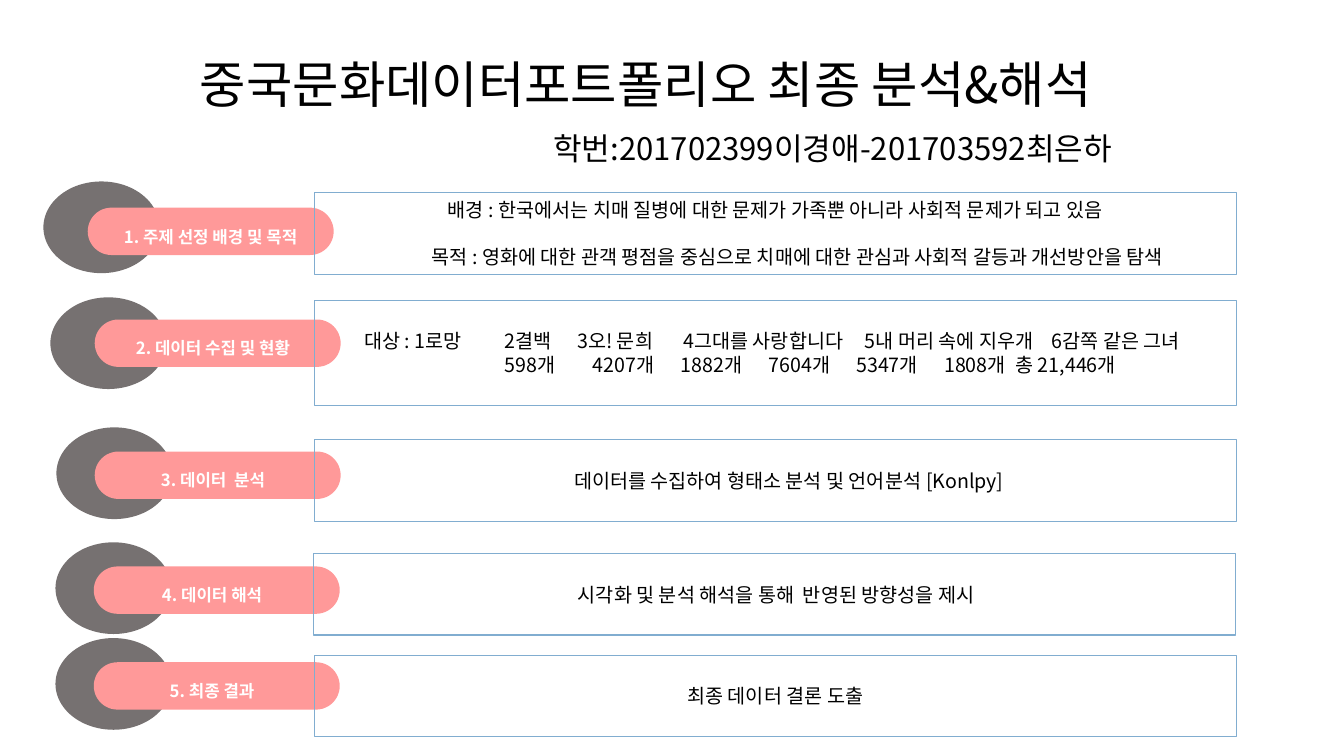
from dataclasses import dataclass

from lxml.etree import SubElement
from pptx import Presentation
from pptx.dml.color import RGBColor
from pptx.enum.shapes import MSO_SHAPE
from pptx.enum.text import MSO_ANCHOR, PP_ALIGN
from pptx.oxml.ns import qn
from pptx.util import Inches, Pt

FONT = "Noto Sans CJK KR"
BLACK = RGBColor(0x00, 0x00, 0x00)
WHITE = RGBColor(0xFF, 0xFF, 0xFF)
GREY = RGBColor(0x76, 0x71, 0x71)
PINK = RGBColor(0xFF, 0x99, 0x99)
BLUE = RGBColor(0x81, 0xAD, 0xD0)

prs = Presentation()
prs.slide_width, prs.slide_height = Inches(13.33), Inches(7.5)
s = prs.slides.add_slide(prs.slide_layouts[6])

# Grid of 100 columns by 100 rows
COL, ROW = prs.slide_width / 100, prs.slide_height / 100
DISC_W, DISC_H = 8.63, 12.13
PILL_W, PILL_H = 18.3, 6.27
BOX_W = 68.57


@dataclass
class Line:
    text: str
    indent: float = 0  # columns
    before: float = 0  # points
    tabs: tuple[float, ...] = ()  # columns from the inner edge of the box


@dataclass
class Step:
    label: str
    disc: tuple[float, float]
    pill: tuple[float, float]
    box: tuple[float, float]
    lines: list[Line]
    box_h: float = 10.8
    label_shift: float = 0.68  # extra right inset, columns


def place(x: float, y: float, w: float, h: float) -> tuple[int, int, int, int]:
    return int(x * COL), int(y * ROW), int(w * COL), int(h * ROW)


def add_run(p, text: str, size: float, color: RGBColor, bold: bool = False) -> None:
    r = p.add_run()
    r.text = text
    r.font.size, r.font.bold, r.font.name = Pt(size), bold, FONT
    r.font.color.rgb = color
    SubElement(r._r.get_or_add_rPr(), qn("a:ea")).set("typeface", FONT)


def add_heading(text: str, area: tuple, size: float, spacing: float,
                anchor: MSO_ANCHOR) -> None:
    tf = s.shapes.add_textbox(*place(*area)).text_frame
    tf.word_wrap, tf.vertical_anchor = True, anchor
    p = tf.paragraphs[0]
    p.alignment, p.line_spacing = PP_ALIGN.CENTER, spacing
    add_run(p, text, size, BLACK)


def add_filled(kind: MSO_SHAPE, area: tuple, color: RGBColor):
    sp = s.shapes.add_shape(kind, *place(*area))
    sp.shadow.inherit = False
    sp.fill.solid()
    sp.fill.fore_color.rgb = color
    sp.line.fill.background()
    return sp


def add_pill(step: Step) -> None:
    sp = add_filled(MSO_SHAPE.ROUNDED_RECTANGLE, (*step.pill, PILL_W, PILL_H), PINK)
    sp.adjustments[0] = 0.5
    tf = sp.text_frame
    tf.word_wrap, tf.vertical_anchor = True, MSO_ANCHOR.MIDDLE
    tf.margin_top = tf.margin_bottom = 0
    tf.margin_right = Inches(0.1) + int(step.label_shift * COL)
    p = tf.paragraphs[0]
    p.alignment, p.line_spacing = PP_ALIGN.CENTER, 1.5
    add_run(p, step.label, 12, WHITE, bold=True)


def add_box(step: Step) -> None:
    sp = s.shapes.add_shape(MSO_SHAPE.RECTANGLE, *place(*step.box, BOX_W, step.box_h))
    sp.shadow.inherit = False
    sp.fill.background()
    sp.line.color.rgb, sp.line.width = BLUE, Pt(0.75)
    tf = sp.text_frame
    tf.word_wrap, tf.vertical_anchor = True, MSO_ANCHOR.MIDDLE
    for i, line in enumerate(step.lines):
        p = tf.add_paragraph() if i else tf.paragraphs[0]
        p.alignment = PP_ALIGN.LEFT if line.tabs else PP_ALIGN.CENTER
        p.space_before = Pt(line.before)
        pPr = p._p.get_or_add_pPr()
        pPr.set("marL", str(int(line.indent * COL)))
        if line.tabs:
            stops = SubElement(pPr, qn("a:tabLst"))
            for pos in line.tabs:
                SubElement(stops, qn("a:tab"), pos=str(int(pos * COL)), algn="l")
        add_run(p, line.text, 14, BLACK)


# Headings
add_heading("중국문화데이터포트폴리오 최종 분석&해석", (4.13, 4.93, 87.85, 10.93),
            36, 0.9, MSO_ANCHOR.BOTTOM)
add_heading("학번:201702399이경애-201703592최은하", (39, 17.47, 45.91, 5.6),
            22.2, 0.8, MSO_ANCHOR.TOP)

# Five steps of the project
FILM_TABS = (2.95, 13.4, 18.8, 26.7, 40.2, 54.1)
COUNT_TABS = (*(13.4 + 6.54 * i for i in range(6)), 51.4)
STEPS = [
    Step("1. 주제 선정 배경 및 목적", (3.23, 24), (6.53, 27.47), (23.41, 25.47), [
        Line("배경 : 한국에서는 치매 질병에 대한 문제가 가족뿐 아니라 사회적 문제가 되고 있음"),
        Line("목적 : 영화에 대한 관객 평점을 중심으로 치매에 대한 관심과 사회적 갈등과 "
             "개선방안을 탐색", indent=3.3, before=17)], label_shift=0),
    Step("2. 데이터 수집 및 현황", (3.75, 39.33), (7.05, 42.27), (23.41, 39.73), [
        Line("\t대상 : 1로망\t2결백\t3오! 문희\t4그대를 사랑합니다"
             "\t5내 머리 속에 지우개\t6감쪽 같은 그녀", tabs=FILM_TABS),
        Line("\t598개\t4207개\t1882개\t7604개\t5347개\t1808개\t총 21,446개",
             tabs=COUNT_TABS)], box_h=13.87),
    Step("3. 데이터  분석", (4.2, 56.53), (7.05, 59.73), (23.41, 58.13),
         [Line("데이터를 수집하여 형태소 분석 및 언어분석 [Konlpy]", indent=2)]),
    Step("4. 데이터 해석", (4.13, 71.73), (6.98, 74.93), (23.33, 73.2),
         [Line("시각화 및 분석 해석을 통해  반영된 방향성을 제시", indent=0.3)]),
    Step("5. 최종 결과", (4.13, 84.4), (6.98, 87.6), (23.41, 86.67),
         [Line("최종 데이터 결론 도출")]),
]
for step in STEPS:
    add_filled(MSO_SHAPE.OVAL, (*step.disc, DISC_W, DISC_H), GREY)
    add_pill(step)
    add_box(step)

prs.save("out.pptx")
